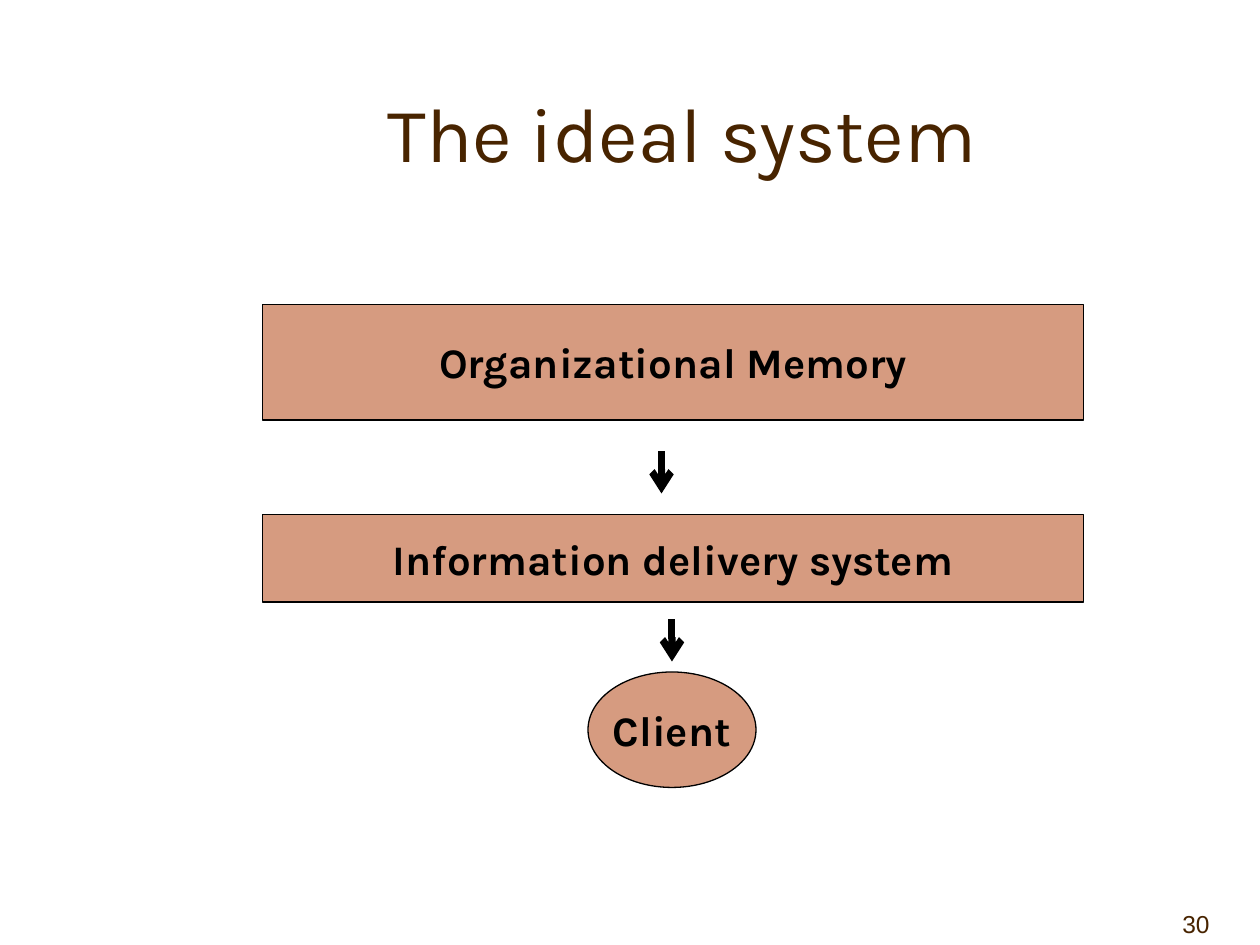
from lxml import etree
from pptx import Presentation
from pptx import util as u
from pptx.dml.color import RGBColor
from pptx.enum import shapes, text
from pptx.oxml.ns import qn


def color(value):
    return RGBColor.from_string(value)


def write(box, content, font="Karla", size=24, ink="000000", bold=False,
          align=text.PP_ALIGN.CENTER, anchor=text.MSO_ANCHOR.MIDDLE,
          wrap=True, right_inset=7.2):
    frame = box.text_frame
    frame.word_wrap = wrap
    frame.vertical_anchor = anchor
    frame.margin_right = u.Pt(right_inset)
    para = frame.paragraphs[0]
    para.alignment = align
    span = para.add_run()
    span.text = content
    span.font.name = font
    span.font.size = u.Pt(size)
    span.font.bold = bold
    span.font.color.rgb = color(ink)


class Diagram:
    fill = "D69B80"
    line = "000000"
    heading = "482400"

    def __init__(self, slide):
        self.slide = slide

    def label(self, bounds, content, **style):
        box = self.slide.shapes.add_textbox(*map(u.Pt, bounds))
        write(box, content, ink=self.heading, **style)

    def node(self, kind, bounds, content):
        box = self.slide.shapes.add_shape(kind, *map(u.Pt, bounds))
        box.shadow.inherit = False
        box.fill.solid()
        box.fill.fore_color.rgb = color(self.fill)
        box.line.color.rgb = color(self.line)
        box.line.width = u.Pt(0.75)
        write(box, content, bold=True, wrap=False)

    def down_arrow(self, x, top, length=24):
        arrow = self.slide.shapes.add_connector(
            shapes.MSO_CONNECTOR.STRAIGHT,
            *map(u.Pt, (x, top, x, top + length)))
        arrow.line.color.rgb = color(self.line)
        arrow.line.width = u.Pt(4)
        etree.SubElement(arrow.line._get_or_add_ln(), qn("a:tailEnd"), type="arrow")
        etree.SubElement(arrow._element.spPr, qn("a:effectLst"))


def main():
    deck = Presentation()
    deck.slide_width, deck.slide_height = u.Pt(720), u.Pt(540)
    diagram = Diagram(deck.slides.add_slide(deck.slide_layouts[6]))
    rectangle, oval = shapes.MSO_SHAPE.RECTANGLE, shapes.MSO_SHAPE.OVAL

    diagram.label((84, 30, 612, 90), "The ideal system", size=44)
    diagram.label((648, 504, 72, 36), "30", font="Arial", size=14,
                  align=text.PP_ALIGN.RIGHT, anchor=text.MSO_ANCHOR.BOTTOM,
                  right_inset=28.8)
    diagram.node(rectangle, (150, 294, 469, 50), "Information delivery system")
    diagram.node(oval, (336, 384, 96, 66), "Client")
    diagram.down_arrow(384, 354)
    diagram.node(rectangle, (150, 174, 469, 66), "Organizational Memory")
    diagram.down_arrow(378, 258)
    deck.save("out.pptx")


if __name__ == "__main__":
    main()
